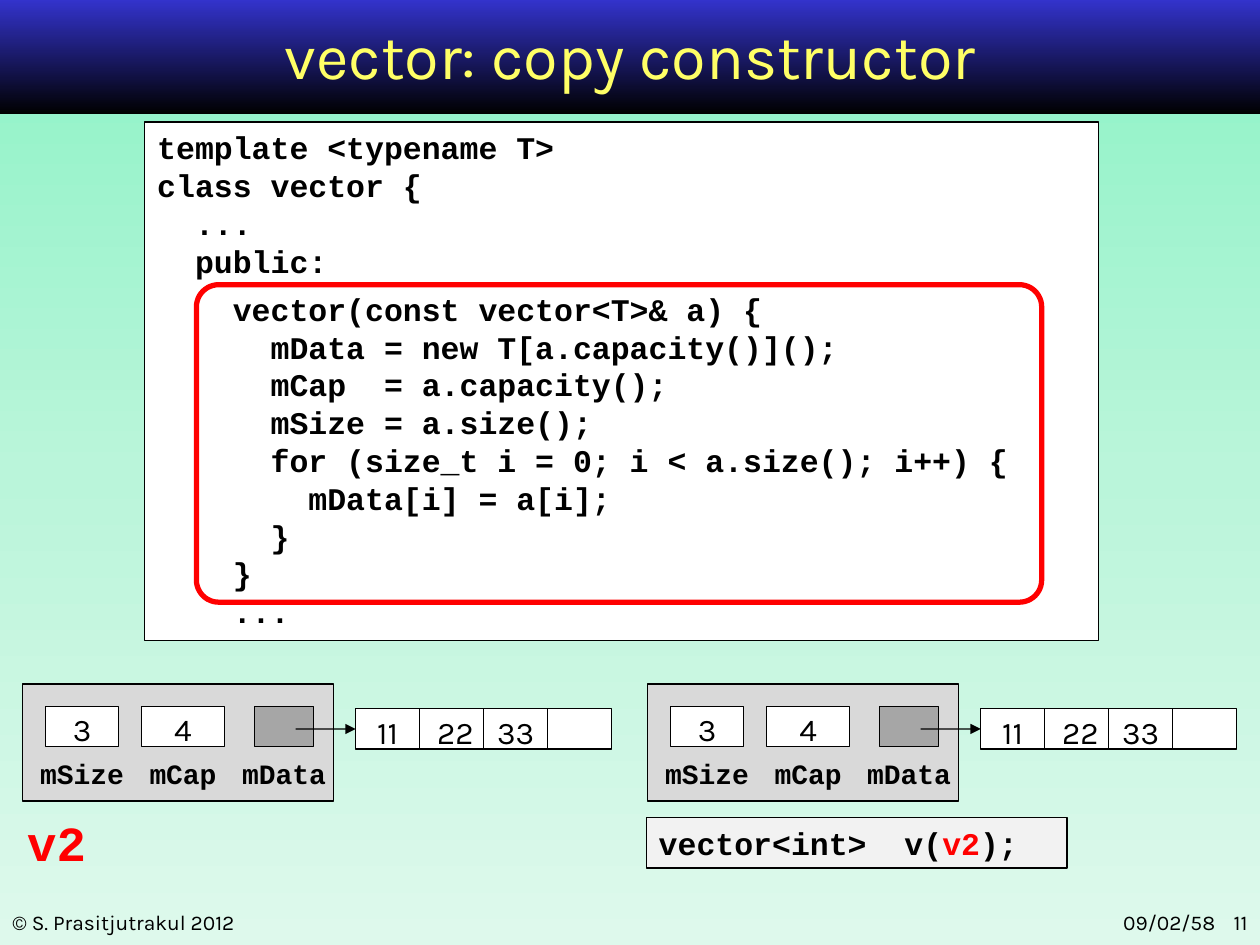
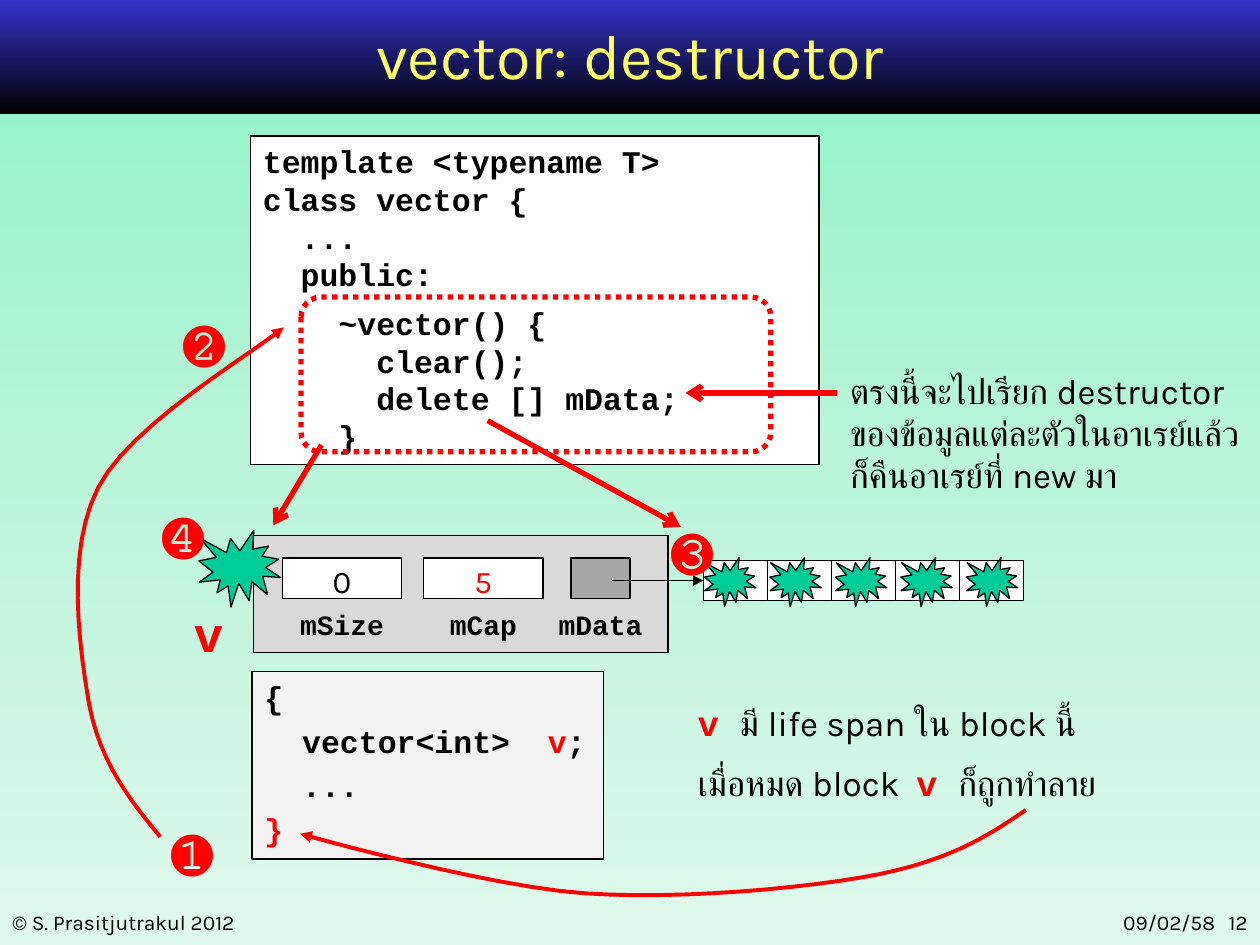
from copy import deepcopy
from dataclasses import dataclass, replace
from typing import Any, NamedTuple, Sequence

from lxml import etree
from pptx import Presentation
from pptx.dml.color import RGBColor
from pptx.enum.dml import MSO_LINE
from pptx.enum.shapes import MSO_CONNECTOR, MSO_SHAPE
from pptx.enum.text import MSO_ANCHOR, PP_ALIGN
from pptx.oxml.ns import qn
from pptx.util import Cm, Pt

RECTANGLE = MSO_SHAPE.RECTANGLE
ROUNDED = MSO_SHAPE.ROUNDED_RECTANGLE
BURST = MSO_SHAPE.EXPLOSION1
STRAIGHT = MSO_CONNECTOR.STRAIGHT
DOTTED = MSO_LINE.ROUND_DOT
LEFT, CENTER, RIGHT = PP_ALIGN.LEFT, PP_ALIGN.CENTER, PP_ALIGN.RIGHT
TOP, MIDDLE = MSO_ANCHOR.TOP, MSO_ANCHOR.MIDDLE
LEFT_SIDE = 1

COLORS = {
    "black": "000000", "white": "FFFFFF", "red": "FF0000", "yellow": "FFFF66",
    "blue": "3333CC", "frame": "D9D9D9", "pointer": "A6A6A6", "call": "F2F2F2",
    "burst": "00CC99", "mint": "8CF2C6", "pale mint": "BAF5DA", "ice": "DEF9EC",
}
BODY, MONO = "Karla", "Courier New"
MONO_ADVANCE = 0.6
CELL_HEIGHT, ARRAY_STEP = 0.81, 1.29


class Area(NamedTuple):
    left: float
    top: float
    width: float
    height: float


class Point(NamedTuple):
    x: float
    y: float


@dataclass(frozen=True)
class Style:
    size: float
    font: str = BODY
    bold: bool = False
    color: str = "black"
    align: Any = LEFT
    anchor: Any = TOP
    before: float = 0
    tight: bool = False
    wrap: bool = True


class Span(NamedTuple):
    text: str
    color: str | None = None
    font: str | None = None
    bold: bool | None = None


class Line(NamedTuple):
    spans: Sequence[Span]
    indent: int = 0
    before: float | None = None


class Field(NamedTuple):
    name: str
    left: float
    width: float
    label_width: float
    value: str = ""
    color: str = "black"
    fill: str = "white"


class VectorDiagram(NamedTuple):
    left: float
    top: float
    width: float
    fields: Sequence[Field]
    array_left: float
    items: Sequence[str]


TITLE = Style(36, color="yellow", align=CENTER, anchor=MIDDLE)
FOOTER = Style(12)
FOOTER_RIGHT = replace(FOOTER, align=RIGHT)
CODE = Style(18, MONO, True)
CALL = replace(CODE, before=3.6)
VALUE = Style(18, align=CENTER, anchor=MIDDLE, tight=True)
LABEL = replace(VALUE, size=16, font=MONO, bold=True)
NAME = Style(28, MONO, True, "red")
STEP = replace(NAME, size=40)
NOTE = Style(20, before=10)
LIFE_NOTE = replace(NOTE, wrap=False)


def rgb(name: str) -> RGBColor:
    return RGBColor.from_string(COLORS[name])


def lengths(values: Sequence[float]) -> list[int]:
    return [Cm(value) for value in values]


def plain(text: str) -> list[Line]:
    return [Line([Span(text)])]


def code_lines(source: str) -> list[Line]:
    lines = []
    for number, part in enumerate(source.strip("\n").split("\n\n")):
        for position, text in enumerate(part.split("\n")):
            code = text.lstrip()
            gap = 6 if number and not position else 0
            lines.append(Line([Span(code)], len(text) - len(code), gap))
    return lines


def write(shape: Any, lines: Sequence[Line], style: Style) -> None:
    frame = shape.text_frame
    frame.word_wrap = style.wrap
    frame.vertical_anchor = style.anchor
    if style.tight:
        frame.margin_left = frame.margin_right = Cm(0)
        frame.margin_top = frame.margin_bottom = Cm(0)
    for index, line in enumerate(lines):
        para = frame.add_paragraph() if index else frame.paragraphs[0]
        para.alignment = style.align
        para.space_before = Pt((style.before if line.before is None else line.before) if index else 0)
        if style.tight:
            para.line_spacing, para.space_after = 1.15, Pt(10)
        if line.indent:
            margin = Pt(line.indent * style.size * MONO_ADVANCE)
            para._p.get_or_add_pPr().set("marL", str(margin))
        font = para.font
        font.name, font.size, font.bold = style.font, Pt(style.size), style.bold
        font.color.rgb = rgb(style.color)
        for span in line.spans:
            run = para.add_run()
            run.text = span.text
            if span.color:
                run.font.color.rgb = rgb(span.color)
            if span.font:
                run.font.name = span.font
            if span.bold is not None:
                run.font.bold = span.bold


def add_text(page: Any, area: Area, lines: Sequence[Line], style: Style) -> None:
    write(page.shapes.add_textbox(*lengths(area)), lines, style)


def add_box(page: Any, area: Area, fill: str | None, kind: Any = RECTANGLE,
            line: str = "black", weight: float = 0.75) -> Any:
    box = page.shapes.add_shape(kind, *lengths(area))
    box.shadow.inherit = False
    if fill:
        box.fill.solid()
        box.fill.fore_color.rgb = rgb(fill)
    else:
        box.fill.background()
    box.line.color.rgb = rgb(line)
    box.line.width = Pt(weight)
    return box


def add_text_box(page: Any, area: Area, fill: str, lines: Sequence[Line], style: Style) -> None:
    write(add_box(page, area, fill), lines, style)


def add_highlight(page: Any, area: Area, rounding: float) -> Any:
    box = add_box(page, area, None, ROUNDED, "red", 3)
    box.adjustments[0] = rounding
    return box


def finish_arrow(shape: Any, color: str, weight: float, head: str) -> None:
    shape.line.color.rgb = rgb(color)
    shape.line.width = Pt(weight)
    etree.SubElement(shape.line._get_or_add_ln(), qn("a:tailEnd"), type=head)


def add_arrow(page: Any, start: Point, end: Point, color: str = "red",
              weight: float = 3, head: str = "arrow") -> Any:
    arrow = page.shapes.add_connector(STRAIGHT, *lengths(start + end))
    finish_arrow(arrow, color, weight, head)
    etree.SubElement(arrow._element.spPr, qn("a:effectLst"))
    return arrow


def add_curved_arrow(page: Any, points: Sequence[Point], steps: int = 12) -> None:
    track = []
    for first in range(0, len(points) - 1, 3):
        a, b, c, d = points[first:first + 4]
        for step in range(1, steps + 1):
            t = step / steps
            weights = ((1 - t) ** 3, 3 * t * (1 - t) ** 2, 3 * t * t * (1 - t), t ** 3)
            track.append(tuple(Cm(sum(w * v for w, v in zip(weights, axis)))
                               for axis in zip(a, b, c, d)))
    builder = page.shapes.build_freeform(*lengths(points[0]))
    builder.add_line_segments(track, close=False)
    curve = builder.convert_to_shape()
    curve.shadow.inherit = False
    curve.fill.background()
    finish_arrow(curve, "red", 2.25, "triangle")


def paint_gradient(fill: Any, element: Any, colors: Sequence[str]) -> None:
    fill.gradient()
    fill.gradient_angle = 270
    stop_list = next(element.iter(qn("a:gsLst")))
    while len(stop_list) < len(colors):
        stop_list.append(deepcopy(stop_list[-1]))
    for index, (stop, color) in enumerate(zip(fill.gradient_stops, colors)):
        stop.color.rgb = rgb(color)
        stop.position = index / (len(colors) - 1)


def add_page(deck: Any, title: str, number: int) -> Any:
    page = deck.slides.add_slide(deck.slide_layouts[6])
    paint_gradient(page.background.fill, page._element, ("mint", "pale mint", "ice"))
    band = add_box(page, Area(0, 0, 25.4, 2.31), "blue")
    band.line.fill.background()
    paint_gradient(band.fill, band._element, ("blue", "black"))
    add_text(page, Area(0, 18.21, 8.26, 0.76), plain("© S. Prasitjutrakul 2012"), FOOTER)
    add_text(page, Area(19.89, 18.21, 4.86, 0.76), plain("09/02/58"), FOOTER_RIGHT)
    add_text(page, Area(24.2, 18.21, 1.2, 0.76), plain(str(number)), FOOTER_RIGHT)
    add_text(page, Area(1.91, 0.05, 21.59, 2.11), plain(title), TITLE)
    return page


def draw_vector(page: Any, vector: VectorDiagram) -> None:
    left, top = vector.left, vector.top
    add_box(page, Area(left, top, vector.width, 2.36), "frame")
    for field in vector.fields:
        cell_left = left + field.left
        cell = add_box(page, Area(cell_left, top + 0.45, field.width, CELL_HEIGHT), field.fill)
        if field.value:
            write(cell, plain(field.value), replace(VALUE, color=field.color))
        label_left = cell_left + (field.width - field.label_width) / 2
        add_text(page, Area(label_left, top + 1.32, field.label_width, 0.84),
                 plain(field.name), LABEL)
    cells = []
    for index, item in enumerate(vector.items):
        cell_left = left + vector.array_left + index * ARRAY_STEP
        cells.append(add_box(page, Area(cell_left, top + 0.5, ARRAY_STEP, CELL_HEIGHT), "white"))
        if item:
            write(cells[-1], plain(item), VALUE)
    middle = top + 0.5 + CELL_HEIGHT / 2
    start = Point(left + vector.fields[-1].left + 0.83, middle)
    arrow = add_arrow(page, start, Point(left + vector.array_left, middle), "black", 0.75, "triangle")
    arrow.end_connect(cells[0], LEFT_SIDE)


COPY_CODE = """
template <typename T>
class vector {
  ...
  public:

    vector(const vector<T>& a) {
      mData = new T[a.capacity()]();
      mCap  = a.capacity();
      mSize = a.size();
      for (size_t i = 0; i < a.size(); i++) {
        mData[i] = a[i];
      }
    }
    ...
"""
DESTRUCTOR_CODE = """
template <typename T>
class vector {
  ...
  public:

    ~vector() {
      clear();
      delete [] mData;
    }
"""


def build_copy_page(deck: Any) -> None:
    page = add_page(deck, "vector: copy constructor", 11)
    add_text_box(page, Area(2.92, 2.46, 19.23, 10.46), "white", code_lines(COPY_CODE), CODE)
    call = [Line([Span("vector<int>  v("), Span("v2", "red"), Span(");")])]
    add_text_box(page, Area(13.03, 16.48, 8.48, 1.02), "call", call, CALL)
    add_highlight(page, Area(3.96, 5.74, 17.04, 6.4), 0.07)
    fields = (Field("mSize", 0.46, 1.47, 2.18, "3"), Field("mCap", 2.39, 1.68, 1.78, "4"),
              Field("mData", 4.67, 1.19, 2.21, fill="pointer"))
    for left in (0.46, 13.06):
        draw_vector(page, VectorDiagram(left, 13.79, 6.27, fields, 6.71, ("11", " 22", "33", "")))
    add_text(page, Area(0.3, 16.26, 2.29, 1.45), plain("v2"), NAME)


def build_destructor_page(deck: Any) -> None:
    page = add_page(deck, "vector: destructor", 12)
    add_text_box(page, Area(5.05, 2.74, 11.46, 6.63), "white", code_lines(DESTRUCTOR_CODE), CODE)
    fields = (Field("mSize", 0.58, 2.41, 2.95, "0"), Field("mCap", 3.43, 2.41, 2.21, "5", "red"),
              Field("mData", 6.4, 1.19, 2.21, fill="pointer"))
    draw_vector(page, VectorDiagram(5.11, 10.8, 8.36, fields, 9.07, ("",) * 5))
    block = [Line([Span("{")]), Line([Span("vector<int>  "), Span("v", "red"), Span(";")], 2),
             Line([Span("...")], 2), Line([Span("}", "red")])]
    add_text_box(page, Area(5.08, 13.54, 7.09, 3.78), "call", block, CALL)
    add_highlight(page, Area(6.07, 5.99, 9.47, 3.12), 0.127).line.dash_style = DOTTED
    variable = Span("v ", "red", MONO, True)
    life = [Line([variable, Span("มี life span ใน block นี้")]),
            Line([Span("เมื่อหมด block  "), variable, Span("ก็ถูกทำลาย")])]
    add_text(page, Area(13.82, 14.02, 9.14, 2.39), life, LIFE_NOTE)
    add_text(page, Area(16.89, 7.32, 8.51, 2.82), plain(
        "ตรงนี้จะไปเรียก destructor ของข้อมูลแต่ละตัวในอาเรย์แล้วก็คืนอาเรย์ที่ new มา"), NOTE)
    bursts = [Area(14.2 + 1.32 * index, 11.24, 1.04, 0.99) for index in range(5)]
    for area in (*bursts, Area(4.01, 10.69, 1.65, 1.55)):
        add_box(page, area, "burst", BURST)
    add_text(page, Area(3.66, 12.04, 1.45, 1.45), plain("v"), NAME)
    for mark, left, top in (("❶", 3.2, 16), ("❷", 3.45, 5.74), ("❸", 13.28, 9.93), ("❹", 3.02, 9.6)):
        add_text(page, Area(left, top, 1.45, 1.96), plain(mark), STEP)
    for start, end in ((Point(16.87, 7.92), Point(13.82, 7.92)),
                       (Point(9.83, 8.48), Point(13.72, 10.62)),
                       (Point(6.48, 8.97), Point(5.51, 10.59))):
        add_arrow(page, start, end)
    add_curved_arrow(page, [Point(*pair) for pair in (
        (20.68, 16.33), (19.94, 16.84), (19.2, 17.32), (17.7, 17.63), (16.23, 17.91),
        (13.72, 18.14), (11.79, 18.01), (9.83, 17.88), (6.05, 16.81), (6.05, 16.81))])
    add_curved_arrow(page, [Point(*pair) for pair in (
        (3.23, 16.87), (2.62, 16.13), (2.03, 15.39), (1.8, 14.22), (1.6, 13.06),
        (1.32, 11.1), (1.98, 9.83), (2.62, 8.56), (5.08, 7.14), (5.72, 6.6))])


def main() -> None:
    deck = Presentation()
    deck.slide_width, deck.slide_height = Cm(25.4), Cm(19.05)
    build_copy_page(deck)
    build_destructor_page(deck)
    deck.save("out.pptx")


if __name__ == "__main__":
    main()
